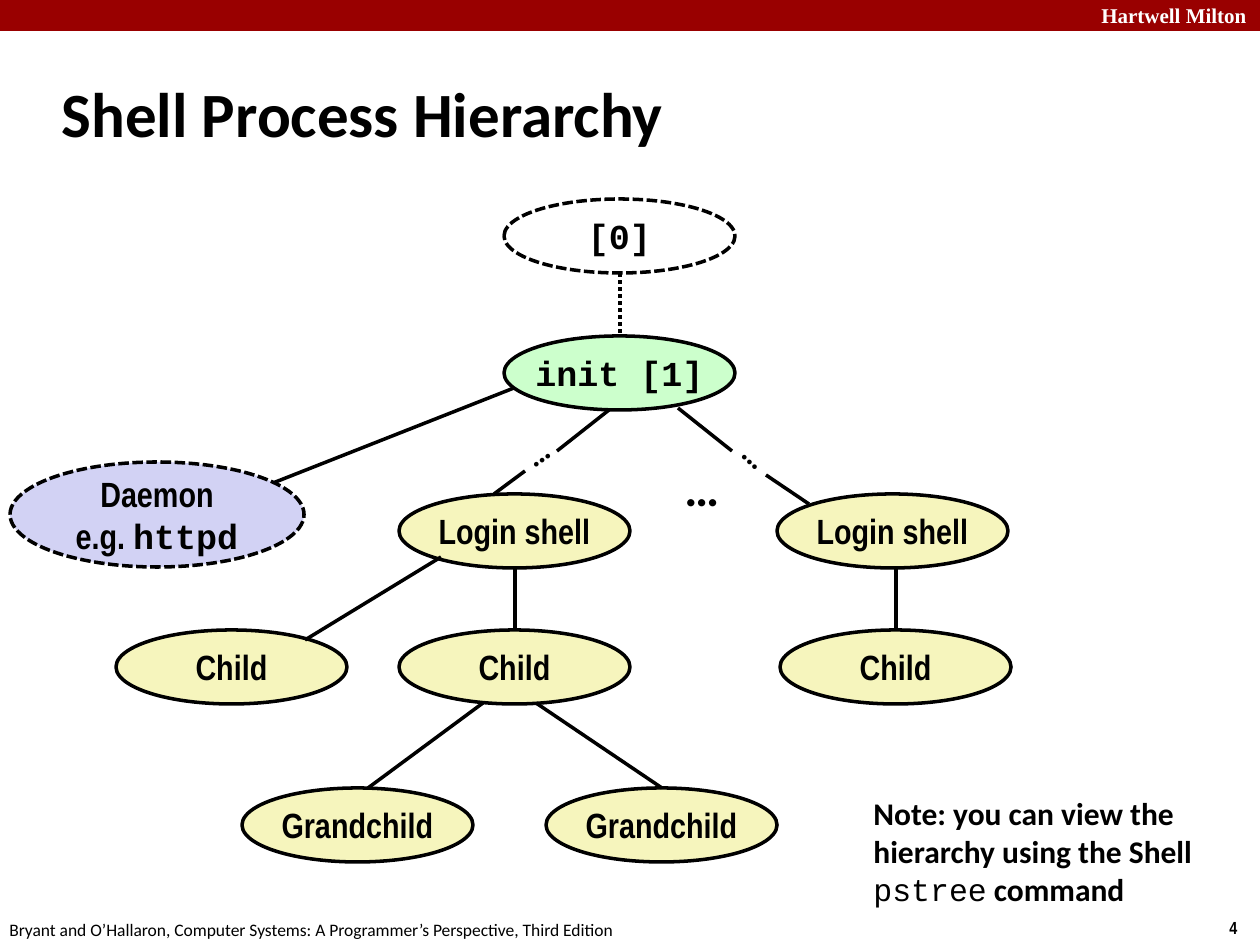
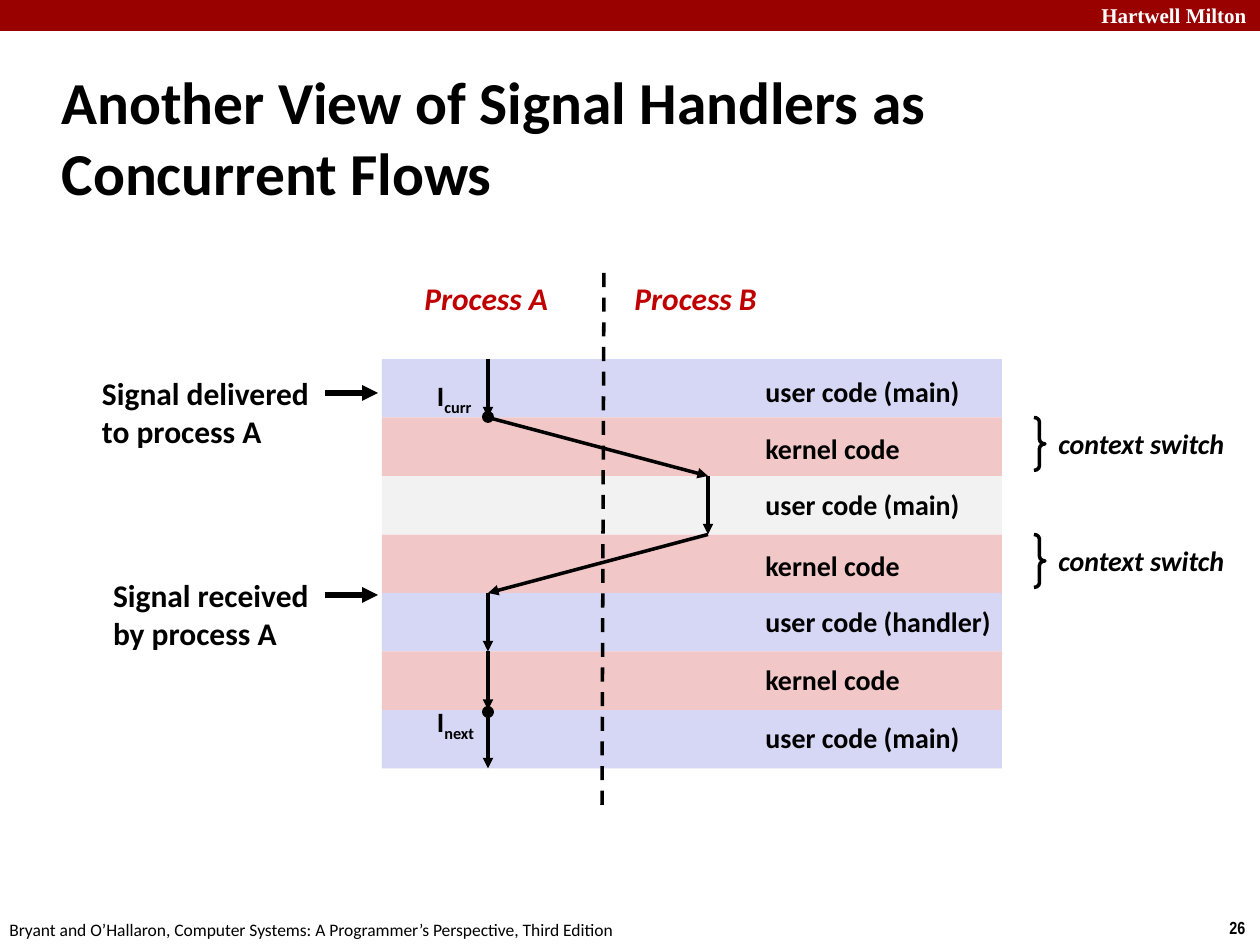
"""Build two lecture slides: a process tree and a signal handler timeline."""
from pptx import Presentation
from pptx.dml.color import RGBColor
from pptx.enum.dml import MSO_LINE
from pptx.enum.shapes import MSO_CONNECTOR, MSO_SHAPE
from pptx.enum.text import MSO_ANCHOR, MSO_AUTO_SIZE, PP_ALIGN
from pptx.oxml.ns import qn
from pptx.util import Pt
from lxml import etree

RECT, OVAL, BRACE = MSO_SHAPE.RECTANGLE, MSO_SHAPE.OVAL, MSO_SHAPE.RIGHT_BRACE
STRAIGHT = MSO_CONNECTOR.STRAIGHT
SYS_DOT, DOT, DASH = MSO_LINE.SQUARE_DOT, MSO_LINE.ROUND_DOT, MSO_LINE.DASH
LEFT, CENTER, MIDDLE = PP_ALIGN.LEFT, PP_ALIGN.CENTER, MSO_ANCHOR.MIDDLE
NO_FIT, GROW = MSO_AUTO_SIZE.NONE, MSO_AUTO_SIZE.SHAPE_TO_FIT_TEXT
SCALE = 914400 / 126
COLORS = {
    "band": "990000", "white": "FFFFFF", "black": "000000", "red": "C00000",
    "yellow": "F6F5BD", "green": "CCFFCC", "lilac": "D2D2F4",
    "user": "D6D6F5", "kernel": "F1C7C7", "other": "F2F2F2",
}
SANS, NARROW, MONO, SERIF = "Calibri", "Arial Narrow", "Courier New", "Times New Roman"

BRAND = "Hartwell Milton"
FOOTER = "Bryant and O’Hallaron, Computer Systems: A Programmer’s Perspective, Third Edition"

NODE_SIZE = (231, 74)
NODES = [
    ("Login shell", 399, 494), ("Login shell", 777, 494),
    ("Child", 116, 630), ("Child", 399, 630), ("Child", 780, 630),
    ("Grandchild", 242, 788), ("Grandchild", 546, 788),
]
BRANCHES = [
    (514, 388, 273, 483), (609, 410, 557, 451), (525, 471, 494, 494),
    (678, 408, 732, 451), (766, 475, 809, 504), (441, 557, 305, 640),
    (515, 567, 515, 630), (896, 567, 896, 630),
    (483, 703, 368, 788), (536, 703, 662, 788),
]
ELLIPSES = [
    ((672, 451, 60, 72), 28, 0), ((718, 445, 48, 50), 18, 223),
    ((524, 445, 48, 50), 18, 145),
]
NOTE = ["Note: you can view the hierarchy using the Shell ",
        ("pstree", {"name": MONO, "bold": False}), " command"]

LANE_LEFT, LANE_TOP, LANE_WIDTH, LANE_PITCH = 382, 359, 620, 58.5
LANES = [
    ("user code (main)", "user", 368), ("kernel code", "kernel", 425),
    ("user code (main)", "other", 481), ("kernel code", "kernel", 542),
    ("user code (handler)", "user", 598), ("kernel code", "kernel", 656),
    ("user code (main)", "user", 714),
]
LABEL_WIDTHS = {"user code (main)": 222, "kernel code": 161, "user code (handler)": 255}
A_X, B_X = 488, 708
FLOW = [A_X, A_X, B_X, B_X, A_X, A_X, A_X, A_X]
SIGNALS = [(["Signal delivered", "to process A"], 96, 368, 223),
           (["Signal received", "by process A"], 107, 570, 210)]
PROCESSES = [("Process A", 412), ("Process B", 622)]
INSTRUCTIONS = [("curr", 373, 52, 411), ("next", 699, 55, 706)]
SWITCH_LANES = [1, 3]


def px(*values):
    return [round(v * SCALE) for v in values]


def rgb(name):
    return RGBColor.from_string(COLORS[name])


def write(tf, paras, size, font=SANS, color="black", bold=True, italic=False, align=LEFT):
    for i, runs in enumerate(paras):
        p = tf.paragraphs[0] if i == 0 else tf.add_paragraph()
        p.alignment = align
        f = p.font
        f.name, f.size, f.bold, f.italic = font, Pt(size), bold, italic
        f.color.rgb = rgb(color)
        for run in [runs] if isinstance(runs, str) else runs:
            text, changes = (run, {}) if isinstance(run, str) else run
            r = p.add_run()
            r.text = text
            for key, value in changes.items():
                if key == "baseline":
                    r._r.get_or_add_rPr().set(key, value)
                else:
                    setattr(r.font, key, value)


def add_text(s, box, paras, size, wrap=False, inset=None, rotation=0, **style):
    sp = s.shapes.add_textbox(*px(*box))
    sp.rotation = rotation
    tf = sp.text_frame
    tf.word_wrap, tf.auto_size = wrap, GROW
    if inset:
        tf.margin_left = tf.margin_right = tf.margin_top = tf.margin_bottom = px(inset)[0]
    write(tf, paras, size, **style)


def add_shape(s, kind, box, fill=None, line=None, dash=None):
    sp = s.shapes.add_shape(kind, *px(*box))
    sp.shadow.inherit = False
    if fill:
        sp.fill.solid()
        sp.fill.fore_color.rgb = rgb(fill)
    else:
        sp.fill.background()
    if line:
        sp.line.color.rgb = rgb(line)
        sp.line.width = Pt(2)
        if dash:
            sp.line.dash_style = dash
    else:
        sp.line.fill.background()
    return sp


def add_node(s, box, paras, fill, font=NARROW, dash=None):
    tf = add_shape(s, OVAL, box, fill, "black", dash).text_frame
    tf.word_wrap, tf.vertical_anchor = False, MIDDLE
    write(tf, paras, 20, font=font, align=CENTER)


def add_line(s, ends, width=2, dash=None, arrow=False):
    c = s.shapes.add_connector(STRAIGHT, *px(*ends))
    c.line.color.rgb = rgb("black")
    c.line.width = Pt(width)
    if dash:
        c.line.dash_style = dash
    if arrow:
        etree.SubElement(c.line._get_or_add_ln(), qn("a:tailEnd")).set("type", "triangle")
    etree.SubElement(c._element.spPr, qn("a:effectLst"))


def new_slide(prs, title, top, size, number):
    s = prs.slides.add_slide(prs.slide_layouts[5])
    add_shape(s, RECT, (0, 0, 1260, 31), "band")
    add_text(s, (1089, -4, 180, 38), [BRAND], 12, wrap=True, font=SERIF, color="white")
    add_text(s, (1217, 911, 43, 34), [number], 10, font=NARROW)
    add_text(s, (-3, 913, 640, 34), [FOOTER], 10, bold=False)
    sp = s.shapes.title
    sp.left, sp.top, sp.width, sp.height = px(49, top, 1046, 105)
    tf = sp.text_frame
    tf.word_wrap, tf.auto_size, tf.vertical_anchor = True, NO_FIT, MIDDLE
    write(tf, [title], size)
    return s


def build_tree(prs):
    s = new_slide(prs, "Shell Process Hierarchy", 60, 36, "4")
    for text, x, y in NODES:
        add_node(s, (x, y, *NODE_SIZE), [text], "yellow")
    add_node(s, (504, 199, *NODE_SIZE), ["[0]"], "white", MONO, SYS_DOT)
    add_line(s, (620, 273, 620, 336), dash=DOT)
    for ends in BRANCHES:
        add_line(s, ends)
    add_node(s, (10, 462, 294, 105), ["Daemon", ["e.g. ", ("httpd", {"name": MONO})]],
             "lilac", dash=SYS_DOT)
    add_node(s, (504, 336, *NODE_SIZE), ["init [1]"], "green", MONO)
    for box, size, rotation in ELLIPSES:
        add_text(s, box, ["…"], size, rotation=rotation)
    add_text(s, (861, 788, 386, 127), [NOTE], 18, wrap=True)


def build_timeline(prs):
    s = new_slide(prs, "Another View of Signal Handlers as Concurrent Flows", 84, 34, "26")
    edges = [LANE_TOP + i * LANE_PITCH for i in range(len(LANES) + 1)]
    for (text, fill, y), top in zip(LANES, edges):
        add_shape(s, RECT, (LANE_LEFT, top, LANE_WIDTH, LANE_PITCH), fill)
        add_text(s, (753, y, LABEL_WIDTHS[text], 47), [text], 16)
    for paras, x, y, width in SIGNALS:
        add_text(s, (x, y, width, 89), paras, 18, inset=6)
        add_line(s, (325, y + 25, 378, y + 25), width=3, arrow=True)
    for text, x in PROCESSES:
        add_text(s, (x, 273, 151, 50), [text], 18, color="red", italic=True)
    add_line(s, (604, 273, 602, 815), dash=DASH)
    points = list(zip(FLOW, edges))
    for start, end in zip(points, points[1:]):
        add_line(s, (*start, *end), arrow=True)
    for lane in SWITCH_LANES:
        top = edges[lane]
        add_shape(s, BRACE, (1034, top, 11, 53), line="black").adjustments[0] = 0.42
        add_text(s, (1046, top + 3, 194, 47), ["context switch"], 16, italic=True)
    for name, y, width, dot_y in INSTRUCTIONS:
        add_text(s, (431, y, width, 47), [["I", (name, {"baseline": "-25000"})]], 16, inset=6)
        add_shape(s, OVAL, (482, dot_y, 12, 12), "black")


def main():
    prs = Presentation()
    prs.slide_width, prs.slide_height = px(1260, 945)
    build_tree(prs)
    build_timeline(prs)
    prs.save("out.pptx")


main()
